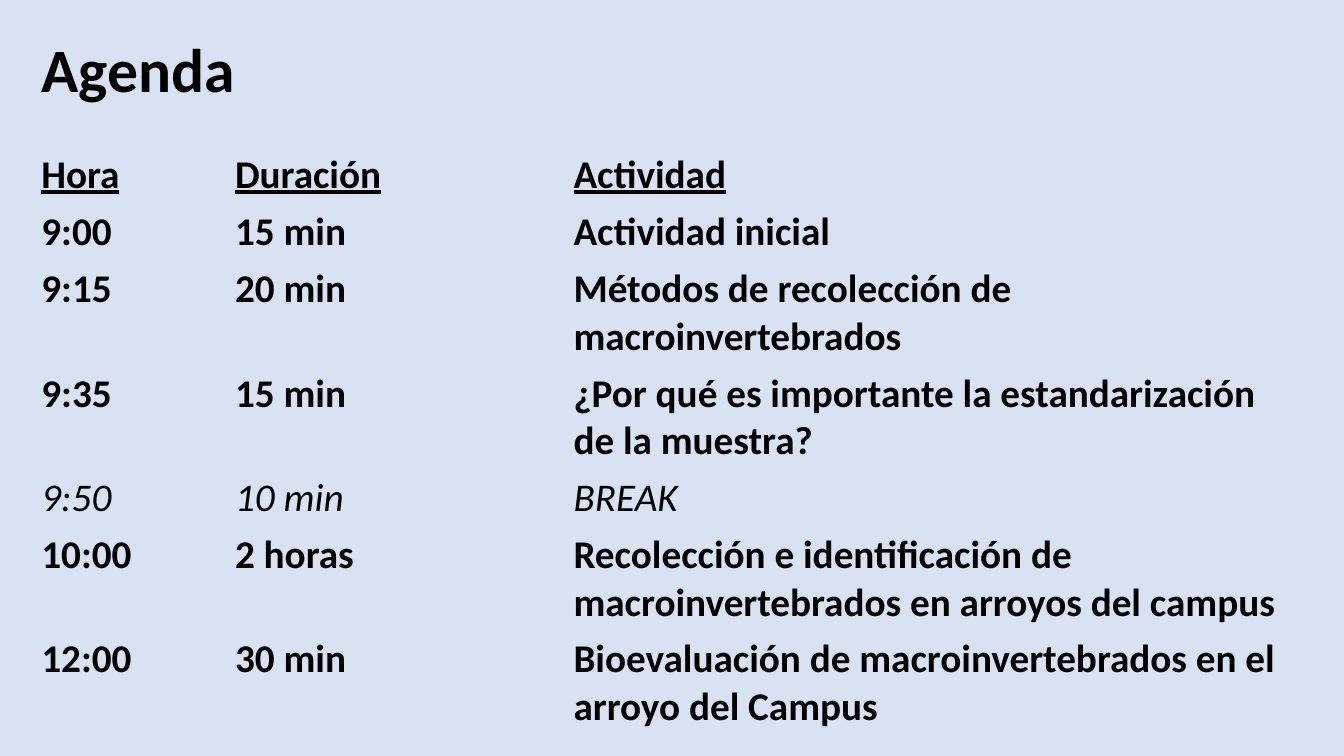
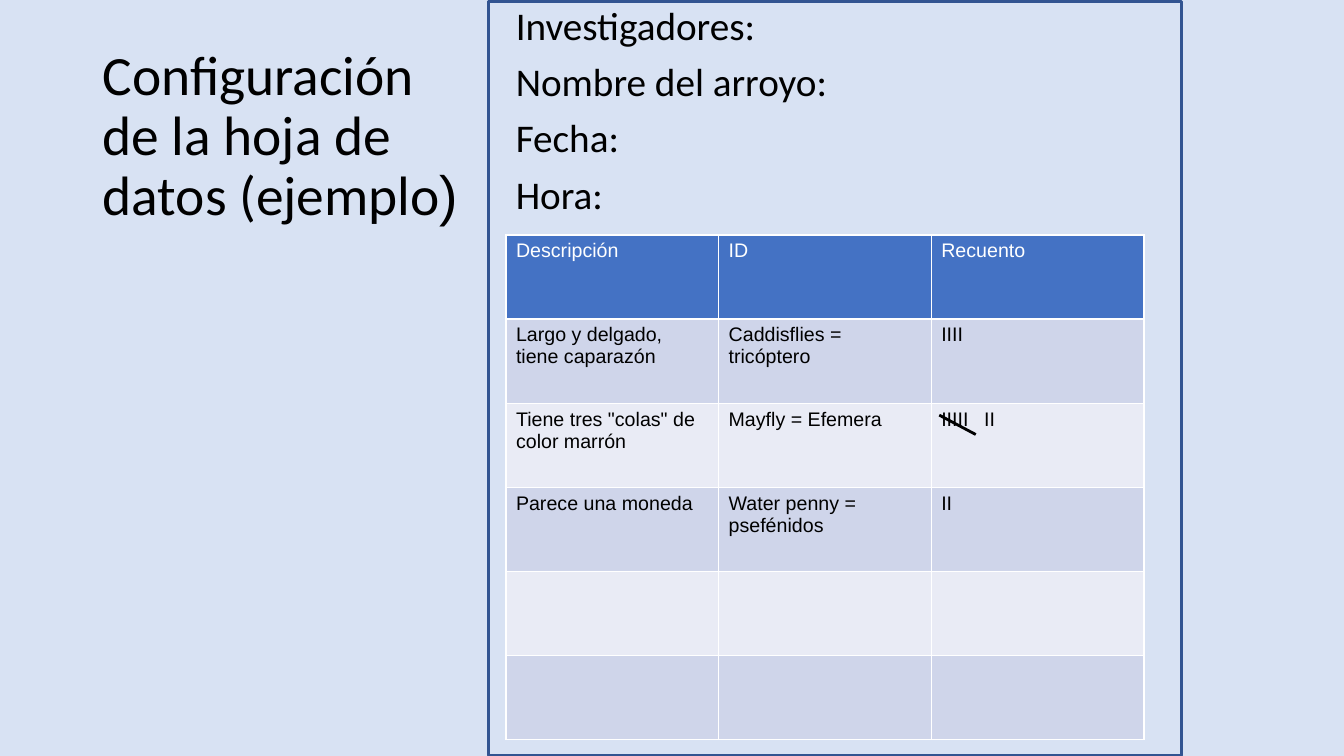
import pptx
import pptx.util
import pptx.dml.color
import pptx.enum.shapes
import pptx.enum.text
import lxml.etree

Cm, Pt = pptx.util.Cm, pptx.util.Pt
RGB = pptx.dml.color.RGBColor.from_string

THEME = {
    "background": RGB("D8E2F3"),
    "frame": RGB("325491"),
    "ink": RGB("000000"),
    "header": RGB("4472C4"),
    "bands": [RGB("CFD5EA"), RGB("E9EBF5")],
    "agenda title": {"name": "Calibri", "size": Pt(44), "bold": True},
    "sheet title": {"name": "Calibri", "size": Pt(39.6)},
    "heading": {"name": "Calibri", "size": Pt(28), "bold": True, "underline": True},
    "activity": {"name": "Calibri", "size": Pt(28), "bold": True},
    "break": {"name": "Calibri", "size": Pt(28), "bold": False, "italic": True},
    "field": {"name": "Calibri", "size": Pt(28)},
    "sheet cell": {"name": "Arial", "size": Pt(14), "bold": False},
}
PLAIN_TABLE_STYLE = "{2D5ABB26-0587-4C30-8999-92F81FD0307C}"


def add_span(para, text, style, color=THEME["ink"]):
    span = para.add_run()
    span.text = text
    for name, value in style.items():
        setattr(span.font, name, value)
    span.font.color.rgb = color


def add_text_box(page, bounds, lines, style, anchor, space_before=0):
    """Write one paragraph per line and return the text frame."""
    frame = page.shapes.add_textbox(*map(Cm, bounds)).text_frame
    frame.word_wrap = True
    frame.vertical_anchor = anchor
    para_format = {"line_spacing": 0.9, "space_before": Pt(space_before)}
    for index, line in enumerate(lines):
        para = frame.add_paragraph() if index else frame.paragraphs[0]
        for name, value in para_format.items():
            setattr(para, name, value)
        add_span(para, line, style)
    return frame


deck = pptx.Presentation()
deck.slide_width, deck.slide_height = Cm(33.87), Cm(19.05)
deck.slide_master.background.fill.solid()
deck.slide_master.background.fill.fore_color.rgb = THEME["background"]
blank = deck.slide_layouts[6]
TOP = pptx.enum.text.MSO_ANCHOR.TOP
MIDDLE = pptx.enum.text.MSO_ANCHOR.MIDDLE

# Agenda
page = deck.slides.add_slide(blank)
add_text_box(page, (0.79, 0, 29.21, 3.68), ["Agenda"], THEME["agenda title"], MIDDLE)

agenda = [
    ("heading", "Hora", "Duración", "Actividad"),
    ("activity", "9:00", "15 min", "Actividad inicial"),
    ("activity", "9:15", "20 min", "Métodos de recolección de macroinvertebrados"),
    ("activity", "9:35", "15 min", "¿Por qué es importante la estandarización de la muestra?"),
    ("break", "9:50", "10 min", "BREAK"),
    ("activity", "10:00", "2 horas",
     "Recolección e identificación de macroinvertebrados en arroyos del campus"),
    ("activity", "12:00", "30 min",
     "Bioevaluación de macroinvertebrados en el arroyo del Campus"),
]
column_widths = [4.88, 8.53, 18.92]
row_height = 1.04
table = page.shapes.add_table(
    len(agenda), len(column_widths), Cm(0.79), Cm(3.68),
    Cm(sum(column_widths)), Cm(row_height * len(agenda))).table
table._tbl.tblPr.find(pptx.oxml.ns.qn("a:tableStyleId")).text = PLAIN_TABLE_STYLE
table.first_row = table.horz_banding = False
for column, width in zip(table.columns, column_widths):
    column.width = Cm(width)
for row, (style, *texts) in zip(table.rows, agenda):
    for cell, text in zip(row.cells, texts):
        cell.fill.background()
        add_span(cell.text_frame.paragraphs[0], text, THEME[style])

# Data sheet
page = deck.slides.add_slide(blank)
title = add_text_box(page, (2.34, 1.02, 9.98, 4.9),
                     ["Configuración de la hoja de datos (ejemplo"],
                     THEME["sheet title"], MIDDLE)
add_span(title.paragraphs[0], ")", {**THEME["sheet title"], "name": "Arial"})
add_text_box(page, (12.75, 0.03, 16.54, 16.36),
             ["Investigadores:", "Nombre del arroyo:", "Fecha:", "Hora:"],
             THEME["field"], TOP, space_before=10)

sheet = [
    ("Descripción", "ID", "Recuento"),
    ("Largo y delgado, tiene caparazón", "Caddisflies = tricóptero", "IIII"),
    ('Tiene tres "colas" de color marrón', "Mayfly = Efemera", "IIIII\tII"),
    ("Parece una moneda", "Water penny = psefénidos", "II"),
    ("", "", ""),
    ("", "", ""),
]
table = page.shapes.add_table(
    len(sheet), 3, Cm(12.75), Cm(5.92), Cm(16.08), Cm(2.12 * len(sheet))).table
for index, (row, texts) in enumerate(zip(table.rows, sheet)):
    fill = THEME["bands"][(index - 1) % 2] if index else THEME["header"]
    color = THEME["ink"] if index else RGB("FFFFFF")
    for cell, text in zip(row.cells, texts):
        cell.fill.solid()
        cell.fill.fore_color.rgb = fill
        para = cell.text_frame.paragraphs[0]
        if text:
            add_span(para, text, THEME["sheet cell"], color)
        if "\t" in text:
            stops = lxml.etree.SubElement(para._p.get_or_add_pPr(), pptx.oxml.ns.qn("a:tabLst"))
            lxml.etree.SubElement(stops, pptx.oxml.ns.qn("a:tab"), pos=str(Cm(1.08)), algn="l")

frame = page.shapes.add_shape(pptx.enum.shapes.MSO_SHAPE.RECTANGLE,
                              Cm(12.32), Cm(0.03), Cm(17.45), Cm(19))
frame.shadow.inherit = False
frame.fill.background()
frame.line.color.rgb = THEME["frame"]
frame.line.width = Pt(2)

tally_stroke = page.shapes.add_connector(
    pptx.enum.shapes.MSO_CONNECTOR.STRAIGHT, Cm(23.67), Cm(10.46), Cm(24.59), Cm(10.95))
tally_stroke.line.color.rgb = THEME["ink"]
tally_stroke.line.width = Pt(2)
lxml.etree.SubElement(tally_stroke._element.spPr, pptx.oxml.ns.qn("a:effectLst"))

deck.save("out.pptx")
